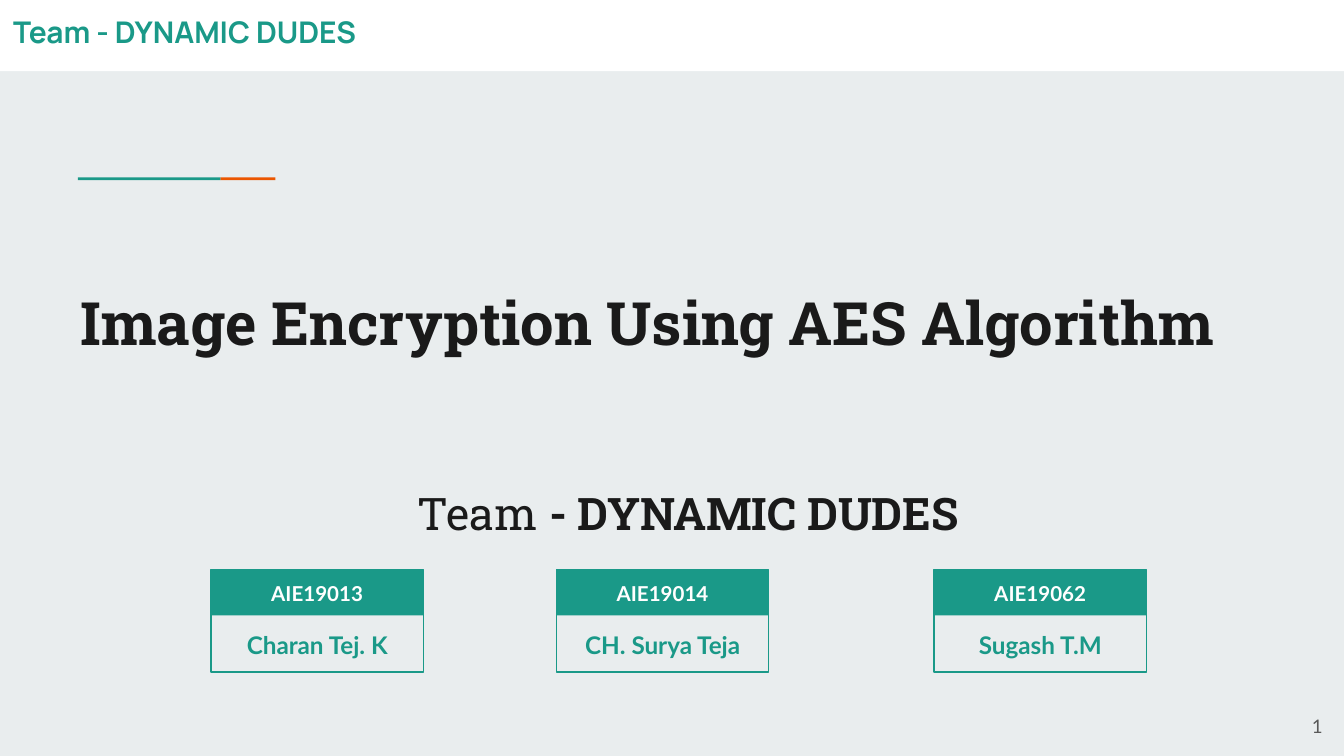
"""Build the title slide for the image encryption project."""
from pptx import Presentation
from pptx.dml.color import RGBColor
from pptx.enum.shapes import MSO_SHAPE
from pptx.enum.text import MSO_ANCHOR, PP_ALIGN
from pptx.util import Inches, Pt

COLORS = {
    "background": "E9EDEE",
    "white": "FFFFFF",
    "teal": "1A9988",
    "orange": "EB5600",
    "ink": "1A1A1A",
    "gray": "595959",
}
MEMBERS = [
    (1.57, "AIE19013", "Charan Tej. K"),
    (4.14, "AIE19014", "CH. Surya Teja"),
    (6.95, "AIE19062", "Sugash T.M"),
]
CARD_TOP, CARD_WIDTH, CARD_HEIGHT, BAND_HEIGHT = 4.24, 1.58, 0.76, 0.34


def rgb(name):
    """Return the named palette colour."""
    return RGBColor.from_string(COLORS[name])


def add_rect(s, x, y, w, h, fill=None, line=None):
    """Add a rectangle with an optional fill and outline."""
    sp = s.shapes.add_shape(MSO_SHAPE.RECTANGLE, Inches(x), Inches(y), Inches(w), Inches(h))
    sp.shadow.inherit = False
    if fill:
        sp.fill.solid()
        sp.fill.fore_color.rgb = rgb(fill)
    else:
        sp.fill.background()
    if line:
        sp.line.color.rgb = rgb(line)
        sp.line.width = Pt(0.75)
    else:
        sp.line.fill.background()


def add_run(p, text, font="Lato", size=11, color="ink", bold=False):
    """Append a formatted run to a paragraph."""
    r = p.add_run()
    r.text = text
    r.font.name = font
    r.font.size = Pt(size)
    r.font.bold = bold
    r.font.color.rgb = rgb(color)


def add_text(s, x, y, w, h, text, align=PP_ALIGN.LEFT, anchor=MSO_ANCHOR.TOP,
             inset=0.1, wrap=True, **style):
    """Add a one-paragraph text box and return its paragraph."""
    tf = s.shapes.add_textbox(Inches(x), Inches(y), Inches(w), Inches(h)).text_frame
    tf.word_wrap = wrap
    tf.vertical_anchor = anchor
    tf.margin_left = tf.margin_right = Inches(0.1)
    tf.margin_top = tf.margin_bottom = Inches(inset)
    p = tf.paragraphs[0]
    p.alignment = align
    add_run(p, text, **style)
    return p


def add_subtitle(s):
    """Add the team line with its hanging indent."""
    style = {"font": "Roboto Slab", "size": 24}
    p = add_text(s, 1.57, 3.56, 6.86, 0.56, " Team ", align=PP_ALIGN.CENTER, **style)
    add_run(p, "- DYNAMIC DUDES", bold=True, **style)
    p.line_spacing = 0.9
    pPr = p._p.get_or_add_pPr()
    pPr.set("marL", str(Inches(0.5)))
    pPr.set("indent", str(Inches(-0.34)))


def add_member_card(s, x, number, name):
    """Add a card with a roll number band above a member name."""
    centered = {"align": PP_ALIGN.CENTER, "anchor": MSO_ANCHOR.MIDDLE, "bold": True}
    add_rect(s, x, CARD_TOP, CARD_WIDTH, CARD_HEIGHT, line="teal")
    add_rect(s, x, CARD_TOP, CARD_WIDTH, BAND_HEIGHT, fill="teal")
    add_text(s, x, CARD_TOP + 0.07, CARD_WIDTH, 0.21, number, color="white", **centered)
    add_text(s, x, CARD_TOP + 0.45, CARD_WIDTH, 0.21, name, size=13, color="teal", **centered)


def main():
    """Build and save the slide."""
    prs = Presentation()
    prs.slide_width = Inches(10)
    prs.slide_height = Inches(10) * 9 // 16
    s = prs.slides.add_slide(prs.slide_layouts[6])
    s.background.fill.solid()
    s.background.fill.fore_color.rgb = rgb("background")

    add_rect(s, 0, 0, 10, 0.53, fill="white")
    add_rect(s, 1.64, 1.32, 0.41, 0.02, fill="orange")
    add_rect(s, 0.58, 1.32, 1.06, 0.02, fill="teal")
    add_text(s, 0.5, 2.03, 9.43, 0.84, "Image Encryption Using AES Algorithm",
             font="Roboto Slab", size=32, bold=True)
    add_subtitle(s)
    for member in MEMBERS:
        add_member_card(s, *member)
    add_text(s, 9.34, 5.19, 0.6, 0.43, "1", align=PP_ALIGN.RIGHT,
             anchor=MSO_ANCHOR.MIDDLE, size=10, color="gray")
    add_text(s, 0, 0.05, 2.88, 0.37, "Team - DYNAMIC DUDES", inset=0.05, wrap=False,
             font="Manrope", size=16, color="teal", bold=True)
    prs.save("out.pptx")


if __name__ == "__main__":
    main()
